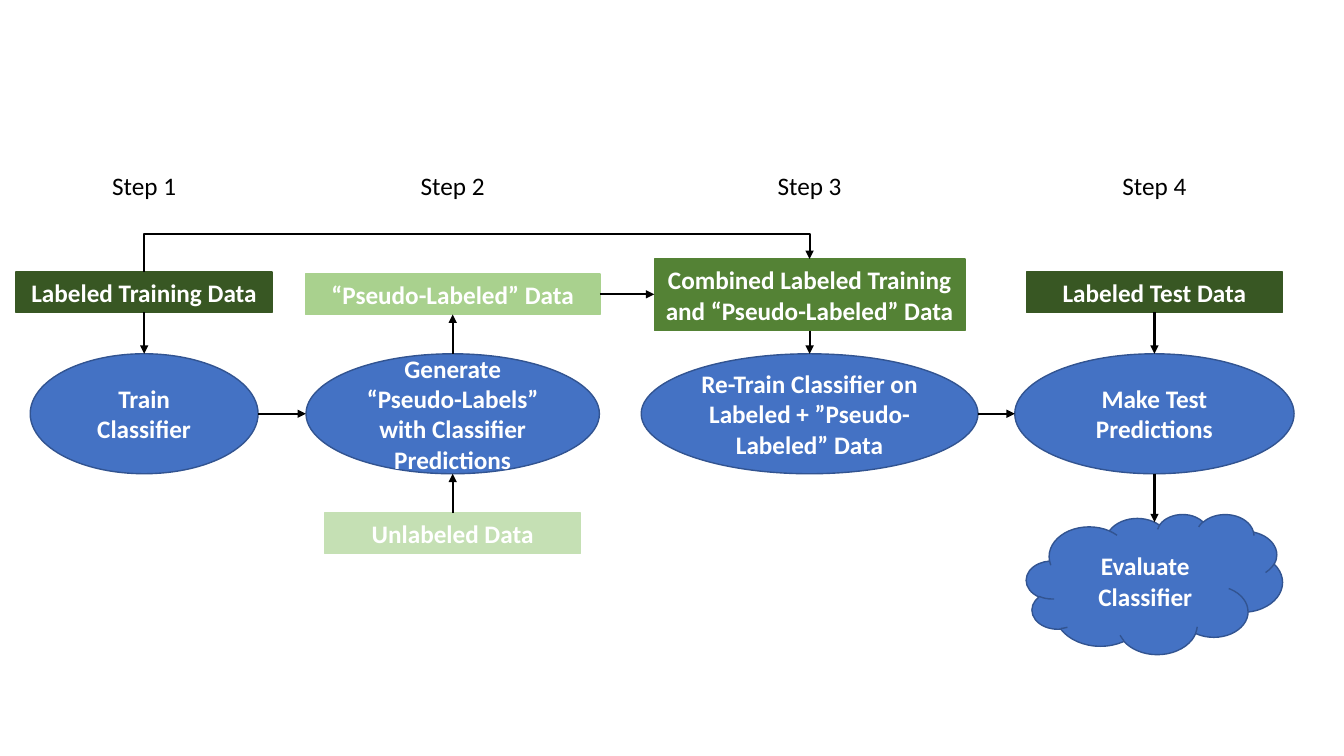
from dataclasses import dataclass
from lxml import etree
from pptx import Presentation, util as u
from pptx.dml.color import RGBColor
from pptx.enum import shapes, text
from pptx.oxml import ns


@dataclass(frozen=True)
class Theme:
    font: str = "Calibri"
    size: int = 18
    edge: float = 1
    wire: float = 1.5
    ink: str = "000000"
    light: str = "FFFFFF"
    blue: str = "4472C4"
    navy: str = "325491"
    dark: str = "385723"
    green: str = "548235"
    soft: str = "A9D18E"
    pale: str = "C5E0B4"


class Board:
    def __init__(self, slide, theme):
        self.slide = slide
        self.theme = theme

    def letter(self, shape, words, color, bold=False):
        frame = shape.text_frame
        frame.word_wrap = True
        frame.text = words
        para = frame.paragraphs[0]
        para.alignment = text.PP_ALIGN.CENTER
        font = para.runs[0].font
        font.name = self.theme.font
        font.size = u.Pt(self.theme.size)
        font.bold = bold
        font.color.rgb = RGBColor.from_string(color)

    def label(self, mid, top, words):
        wide = 0.87
        box = self.slide.shapes.add_textbox(
            u.Inches(mid - wide / 2), u.Inches(top), u.Inches(wide), u.Inches(0.4))
        self.letter(box, words, self.theme.ink)

    def node(self, kind, mid, top, wide, high, words, fill, edge):
        shape = self.slide.shapes.add_shape(
            kind, u.Inches(mid - wide / 2), u.Inches(top), u.Inches(wide), u.Inches(high))
        shape.shadow.inherit = False
        shape.fill.solid()
        shape.fill.fore_color.rgb = RGBColor.from_string(fill)
        shape.line.color.rgb = RGBColor.from_string(edge)
        shape.line.width = u.Pt(self.theme.edge)
        self.letter(shape, words, self.theme.light, True)
        shape.text_frame.vertical_anchor = text.MSO_ANCHOR.MIDDLE
        return shape

    def data(self, mid, top, wide, words, fill, high=0.4):
        kind = shapes.MSO_SHAPE.RECTANGLE
        return self.node(kind, mid, top, wide, high, words, fill, fill)

    def task(self, mid, wide, words):
        kind = shapes.MSO_SHAPE.OVAL
        return self.node(kind, mid, 3.51, wide, 1.19, words, self.theme.blue, self.theme.navy)

    def cloud(self, mid, top, words):
        kind = shapes.MSO_SHAPE.CLOUD
        return self.node(kind, mid, top, 2.54, 1.39, words, self.theme.blue, self.theme.navy)

    def arrow(self, kind, start, end):
        wire = self.slide.shapes.add_connector(kind, *start, *end)
        wire.line.color.rgb = RGBColor.from_string(self.theme.ink)
        wire.line.width = u.Pt(self.theme.wire)
        props = wire._element.spPr
        etree.SubElement(props.find(ns.qn("a:ln")), ns.qn("a:tailEnd"), type="triangle")
        etree.SubElement(props, ns.qn("a:effectLst"))
        return wire

    def across(self, a, b):
        y = a.top + a.height // 2
        self.arrow(shapes.MSO_CONNECTOR.STRAIGHT, (a.left + a.width, y), (b.left, y))

    def upright(self, a, b, dip=0):
        x = a.left + a.width // 2
        if a.top < b.top:
            start, end = a.top + a.height, b.top + u.Inches(dip)
        else:
            start, end = a.top, b.top + b.height
        self.arrow(shapes.MSO_CONNECTOR.STRAIGHT, (x, start), (x, end))

    def bridge(self, a, b, level):
        start = a.left + a.width // 2, a.top
        end = b.left + b.width // 2, b.top
        wire = self.arrow(shapes.MSO_CONNECTOR.ELBOW, start, end)
        span, rise = end[0] - start[0], start[1] - end[1]
        wire.left = (start[0] + end[0] - rise) // 2
        wire.top = (start[1] + end[1] - span) // 2
        wire.width, wire.height = rise, span
        props = wire._element.spPr
        form = props.find(ns.qn("a:xfrm"))
        for key, value in (("rot", "5400000"), ("flipH", "1"), ("flipV", "1")):
            form.set(key, value)
        bend = round((start[1] - u.Inches(level)) / rise * 100000)
        guide = props.find(ns.qn("a:prstGeom")).find(ns.qn("a:avLst"))
        etree.SubElement(guide, ns.qn("a:gd"), name="adj1", fmla=f"val {bend}")


deck = Presentation()
deck.slide_width, deck.slide_height = u.Inches(13.33), u.Inches(7.5)
look = Theme()
board = Board(deck.slides.add_slide(deck.slide_layouts[6]), look)

cols = one, two, three, four = 1.43, 4.49, 8.03, 11.45
for step, mid in enumerate(cols, 1):
    board.label(mid, 1.64, f"Step {step}")

train = board.task(one, 2.26, "Train Classifier")
guess = board.task(two, 2.91, "Generate “Pseudo-Labels” with Classifier Predictions")
again = board.task(three, 3.34, "Re-Train Classifier on Labeled + ”Pseudo-Labeled” Data")
test = board.task(four, 2.77, "Make Test Predictions")

known = board.data(one, 2.7, 2.54, "Labeled Training Data", look.dark)
pseudo = board.data(two, 2.72, 2.92, "“Pseudo-Labeled” Data", look.soft)
mixed = board.data(
    three, 2.57, 3.08, "Combined Labeled Training and “Pseudo-Labeled” Data", look.green, 0.71)
held = board.data(four, 2.7, 2.54, "Labeled Test Data", look.dark)
raw = board.data(two, 5.09, 2.54, "Unlabeled Data", look.pale)
score = board.cloud(four, 5.1, "Evaluate Classifier")

for a, b in ((known, train), (raw, guess), (guess, pseudo), (mixed, again), (held, test)):
    board.upright(a, b)
board.upright(test, score, 0.08)
for a, b in ((train, guess), (pseudo, mixed), (again, test)):
    board.across(a, b)
board.bridge(known, mixed, 2.32)

deck.save("out.pptx")
